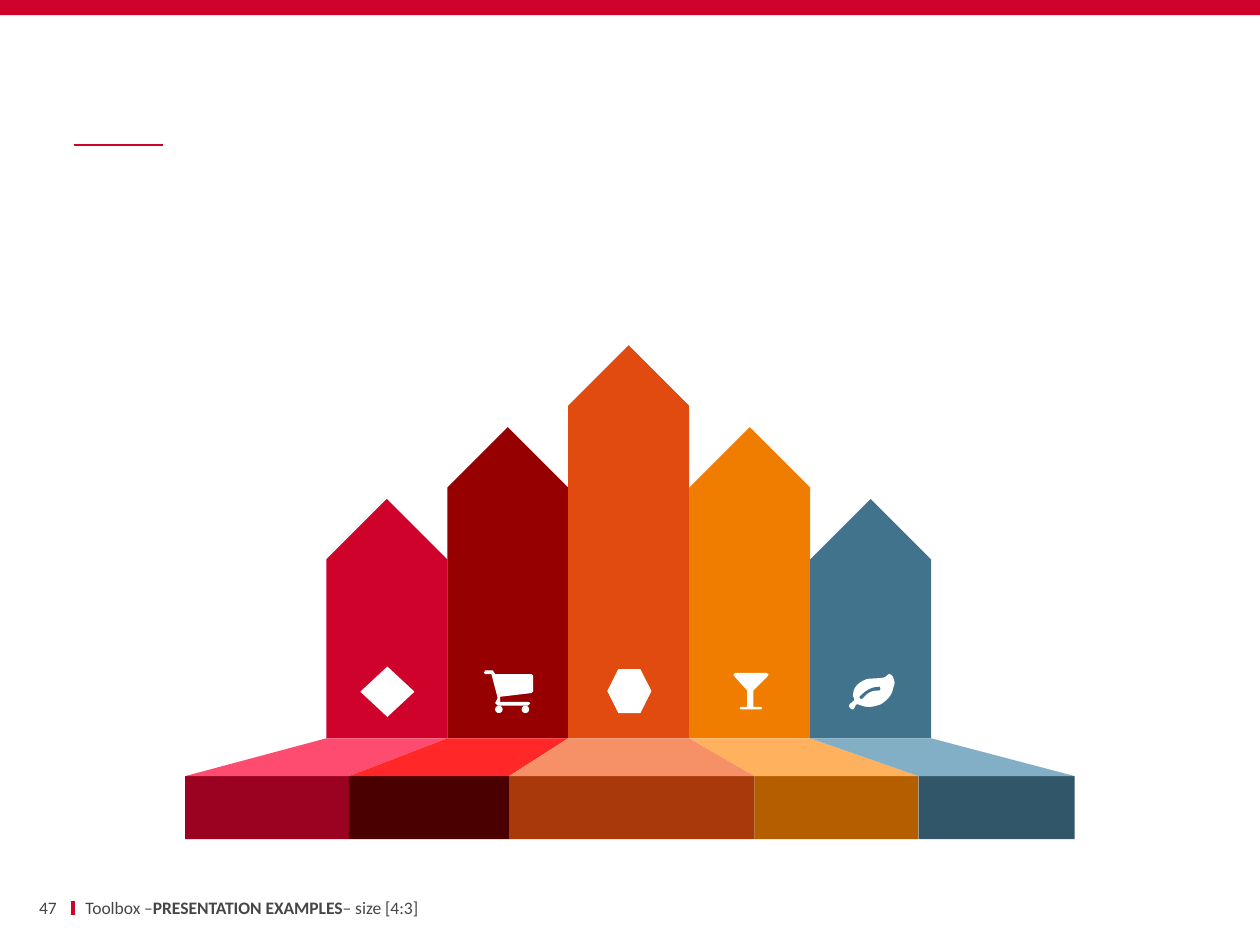
from itertools import pairwise

from lxml.etree import SubElement
from pptx import Presentation
from pptx.dml.color import RGBColor
from pptx.enum.shapes import MSO_CONNECTOR as Connector, MSO_SHAPE as Shape
from pptx.enum.text import MSO_ANCHOR as Anchor, PP_ALIGN as Align
from pptx.oxml.ns import qn
from pptx.util import Inches, Pt

RED, WHITE, GREY = "CF022B", "FFFFFF", "464646"
FLOOR, STEP, STEP_HEIGHT = 5.86, 6.16, 0.5
BAR_LEFT, BAR_WIDTH = 2.59, 0.96
STEP_EDGES = [1.47, 2.77, 4.04, 5.99, 7.29, 8.53]
BARS = [
    (1.9, RED, "FD4C70", "9B0120"),
    (2.47, "960000", "FF2727", "4B0000"),
    (3.12, "E14B0F", "F59067", "A9380B"),
    (2.47, "F07D00", "FFB15D", "B45E00"),
    (1.9, "41738C", "82AFC5", "315669"),
]
CART = [
    (4.23, 5.49), (4.22, 5.5), (3.97, 5.53), (3.97, 5.57), (4.19, 5.57),
    (4.21, 5.58), (4.19, 5.6), (3.95, 5.6), (3.93, 5.58), (3.95, 5.54),
    (3.9, 5.35), (3.85, 5.35), (3.84, 5.34), (3.85, 5.32), (3.91, 5.32),
    (3.93, 5.35), (4.22, 5.35), (4.23, 5.36),
]
GLASS = [
    (6.09, 5.37), (5.98, 5.48), (5.98, 5.61), (6.04, 5.61), (6.05, 5.62),
    (6.04, 5.63), (5.88, 5.63), (5.87, 5.62), (5.88, 5.61), (5.93, 5.61),
    (5.93, 5.48), (5.83, 5.37), (5.82, 5.35), (5.84, 5.34), (6.08, 5.34),
    (6.1, 5.35),
]
LEAF_EDGE = [
    (7.09, 5.46), (7.08, 5.52), (7.04, 5.56), (6.99, 5.59),
    (6.96, 5.6), (6.93, 5.61), (6.9, 5.61),
    (6.88, 5.61), (6.86, 5.61), (6.84, 5.6),
    (6.83, 5.6), (6.82, 5.59), (6.8, 5.59),
    (6.79, 5.59), (6.78, 5.63), (6.77, 5.63),
    (6.75, 5.63), (6.75, 5.62), (6.74, 5.61),
    (6.74, 5.61), (6.74, 5.6), (6.74, 5.6),
    (6.74, 5.58), (6.78, 5.57), (6.78, 5.55),
    (6.78, 5.54), (6.77, 5.53), (6.77, 5.52),
    (6.77, 5.45), (6.82, 5.41), (6.88, 5.39),
    (6.92, 5.38), (7, 5.39), (7.03, 5.37),
    (7.04, 5.36), (7.05, 5.35), (7.06, 5.35),
    (7.09, 5.35), (7.1, 5.41), (7.1, 5.42),
    (7.1, 5.44), (7.09, 5.45), (7.09, 5.46),
]
LEAF_VEIN = [
    (6.98, 5.45), (6.91, 5.45), (6.87, 5.48), (6.82, 5.53),
    (6.82, 5.54), (6.83, 5.55), (6.84, 5.55),
    (6.85, 5.54), (6.86, 5.53), (6.87, 5.52),
    (6.9, 5.49), (6.93, 5.48), (6.98, 5.48),
    (6.99, 5.48), (6.99, 5.45), (6.98, 5.45),
]


def color(value):
    return RGBColor.from_string(value)


def curve(controls, steps=6):
    points = [controls[0]]
    for i in range(0, len(controls) - 1, 3):
        for t in (step / steps for step in range(1, steps + 1)):
            weights = ((1 - t) ** 3, 3 * t * (1 - t) ** 2, 3 * t * t * (1 - t), t ** 3)
            points.append(tuple(
                sum(w * p[axis] for w, p in zip(weights, controls[i:i + 4]))
                for axis in (0, 1)
            ))
    return points


class Painter:
    font = "Calibri"
    size = Pt(10)

    def __init__(self, slide):
        self.shapes = slide.shapes

    def paint(self, shape, fill):
        shape.shadow.inherit = False
        shape.fill.solid()
        shape.fill.fore_color.rgb = color(fill)
        shape.line.fill.background()
        return shape

    def block(self, kind, left, top, width, height, fill):
        box = map(Inches, (left, top, width, height))
        return self.paint(self.shapes.add_shape(kind, *box), fill)

    def arrow_up(self, left, top, width, height, fill):
        shift = (height - width) / 2
        arrow = self.block(Shape.PENTAGON, left - shift, top + shift, height, width, fill)
        arrow.rotation = 270

    def outline(self, fill, *contours):
        builder = None
        for contour in contours:
            start, *rest = [(Inches(x), Inches(y)) for x, y in contour]
            if builder is None:
                builder = self.shapes.build_freeform(*start)
            else:
                builder.move_to(*start)
            builder.add_line_segments(rest, close=True)
        return self.paint(builder.convert_to_shape(), fill)

    def rule(self, x1, y1, x2, y2, width):
        ends = map(Inches, (x1, y1, x2, y2))
        line = self.shapes.add_connector(Connector.STRAIGHT, *ends)
        line.line.color.rgb = color(RED)
        line.line.width = Pt(width)
        SubElement(line._element.spPr, qn("a:effectLst"))

    def text(self, left, top, width, height, runs, inset_left, inset_right, align):
        frame = self.shapes.add_textbox(*map(Inches, (left, top, width, height))).text_frame
        frame.word_wrap = True
        frame.vertical_anchor = Anchor.MIDDLE
        frame.margin_left, frame.margin_right = Inches(inset_left), Inches(inset_right)
        paragraph = frame.paragraphs[0]
        paragraph.alignment = align
        for words, bold in runs:
            run = paragraph.add_run()
            run.text = words
            run.font.name, run.font.size, run.font.bold = self.font, self.size, bold
            run.font.color.rgb = color(GREY)


def main():
    deck = Presentation()
    deck.slide_width, deck.slide_height = Inches(10), Inches(7.5)
    painter = Painter(deck.slides.add_slide(deck.slide_layouts[6]))

    painter.rule(0.58, 7.15, 0.58, 7.26, 2.25)
    painter.rule(0.59, 1.15, 1.29, 1.15, 1)
    painter.block(Shape.RECTANGLE, 0, 0, 10, 0.12, RED)

    for i, ((height, front, floor, step), (near, far)) in enumerate(
        zip(BARS, pairwise(STEP_EDGES))
    ):
        left = BAR_LEFT + i * BAR_WIDTH
        right = left + BAR_WIDTH
        painter.arrow_up(left, FLOOR - height, BAR_WIDTH, height, front)
        painter.block(Shape.RECTANGLE, near, STEP, far - near, STEP_HEIGHT, step)
        painter.outline(floor, [(left, FLOOR), (right, FLOOR), (far, STEP), (near, STEP)])

    painter.block(Shape.DIAMOND, 2.86, 5.29, 0.43, 0.4, WHITE)
    painter.outline(WHITE, CART)
    for wheel_left in (3.93, 4.14):
        painter.block(Shape.OVAL, wheel_left, 5.6, 0.06, 0.06, WHITE)
    painter.block(Shape.HEXAGON, 4.82, 5.31, 0.35, 0.35, WHITE)
    painter.outline(WHITE, GLASS)
    painter.outline(WHITE, curve(LEAF_EDGE), curve(LEAF_VEIN))

    painter.text(0.13, 7.11, 0.32, 0.18, [("47", False)], 0, 0, Align.RIGHT)
    footer = [("Toolbox –", False), ("PRESENTATION EXAMPLES", True), ("– size [4:3]", False)]
    painter.text(0.58, 7.11, 4.97, 0.18, footer, 0.1, 0.1, Align.LEFT)

    deck.save("out.pptx")


if __name__ == "__main__":
    main()
